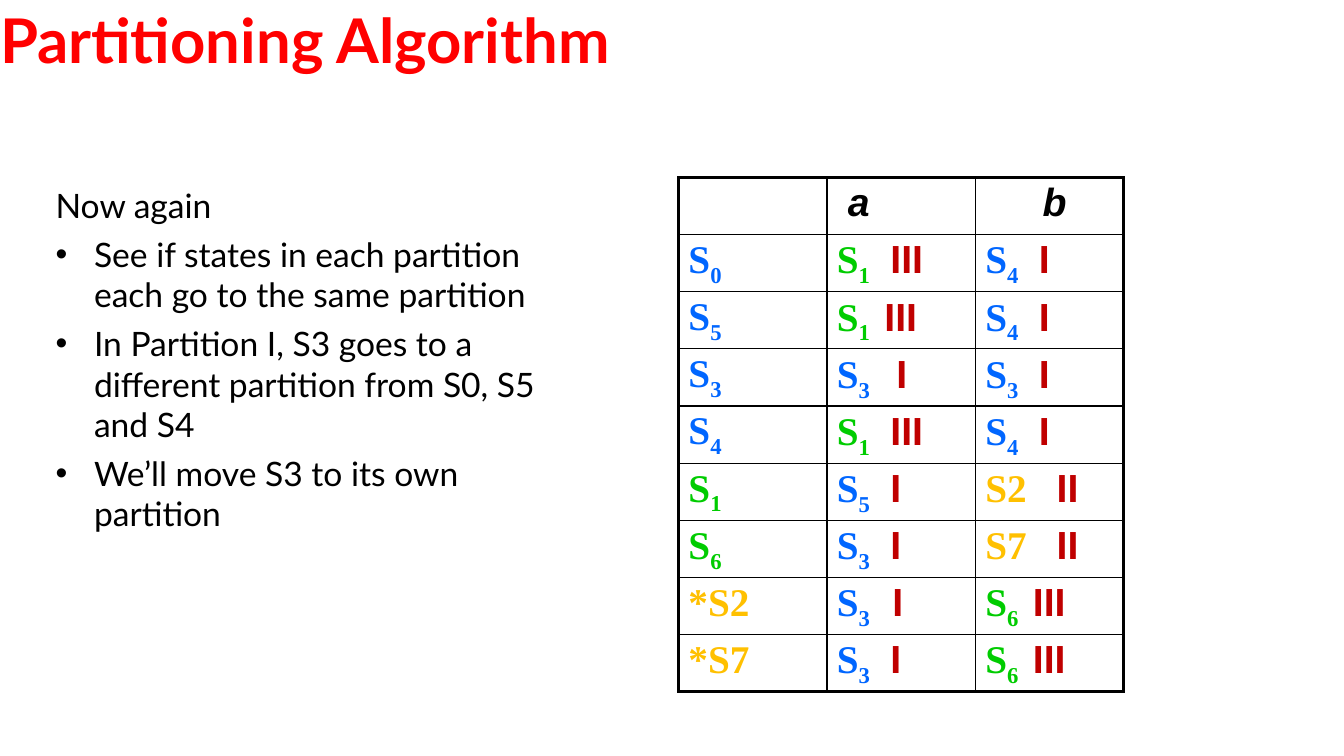
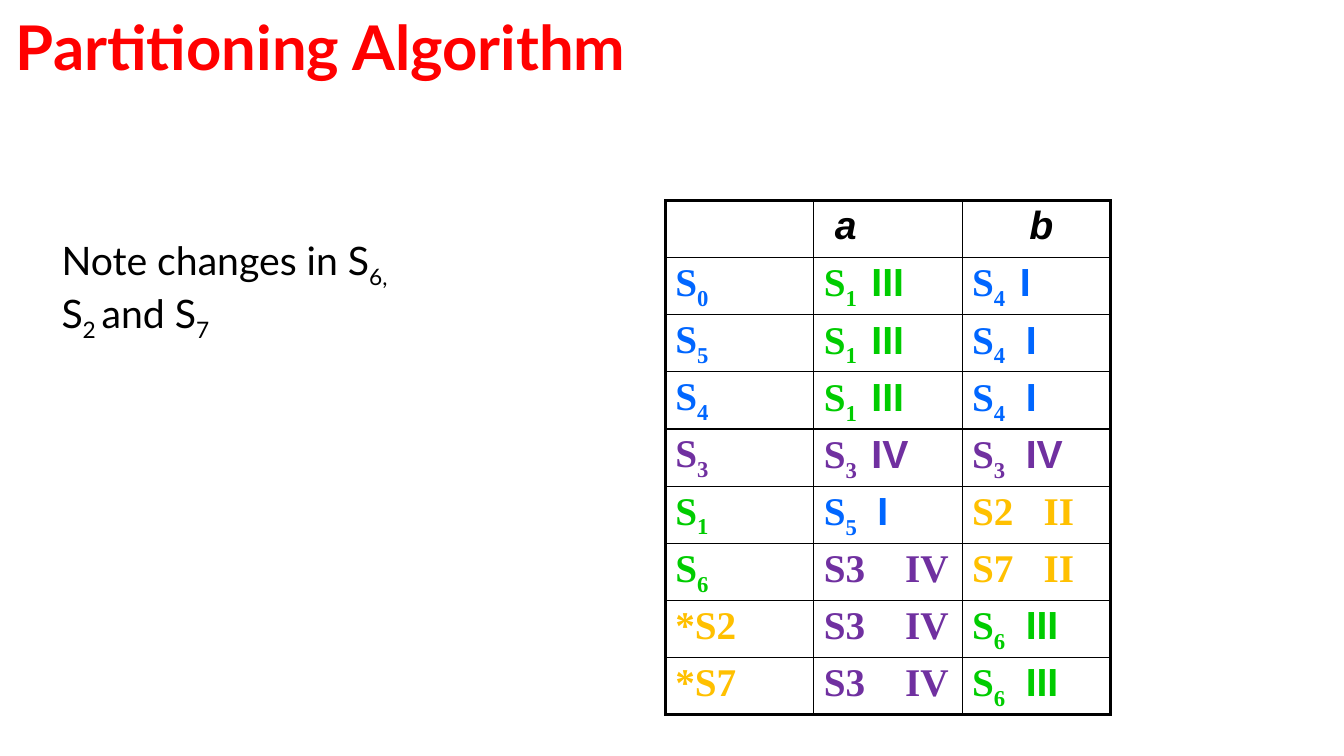
from lxml.etree import SubElement
from pptx import Presentation
from pptx.dml.color import RGBColor
from pptx.enum.text import MSO_ANCHOR, MSO_AUTO_SIZE, PP_ALIGN
from pptx.oxml import parse_xml
from pptx.oxml.ns import nsdecls, qn
from pptx.util import Cm, Pt

RED = RGBColor(0xFF, 0x00, 0x00)
BLACK = RGBColor(0x00, 0x00, 0x00)
BLUE = RGBColor(0x00, 0x66, 0xFF)
GREEN = RGBColor(0x00, 0xCC, 0x00)
GOLD = RGBColor(0xFF, 0xC0, 0x00)
PURPLE = RGBColor(0x70, 0x30, 0xA0)
DARK_RED = RGBColor(0xC0, 0x00, 0x00)

SANS, SERIF, BODY = "Arial", "Times New Roman", "Lato"
COLUMN_WIDTH, ROW_HEIGHT = Cm(3.74), Cm(1.44)
THIN, THICK = Pt(1), Pt(2.25)

STATE_COLORS = {"0": BLUE, "3": BLUE, "4": BLUE, "5": BLUE,
                "1": GREEN, "6": GREEN, "2": GOLD, "7": GOLD}

# Transitions: state, partition and the partition's tab stop in cm.
SLIDES = [
    {
        "title_at": (0, 0),
        "notes_box": (1.3, 4.47, 13.18, 8.05),
        "notes_top_inset": 0.2,
        "notes_size": 24,
        "notes": [
            ("Now again", False),
            ("See if states in each partition each go to the same partition", True),
            ("In Partition I, S3 goes to a different partition from S0, S5 and S4", True),
            ("We’ll move S3 to its own partition", True),
        ],
        "table_at": (17.1, 4.47),
        "state_colors": STATE_COLORS,
        "partition_color": DARK_RED,
        "plain_partition_font": SANS,
        "transitions": [
            ("S|0", "S|1 III 1.35", "S|4 I 1.35"),
            ("S|5", "S|1 III 1.2", "S|4 I 1.35"),
            ("S|3", "S|3 I 1.5", "S|3 I 1.35"),
            ("S|4", "S|1 III 1.35", "S|4 I 1.35"),
            ("S|1", "S|5 I 1.35", "S2 II 1.8"),
            ("S|6", "S|3 I 1.35", "S7 II 1.8"),
            ("*S2", "S|3 I 1.4", "S|6 III 1.2"),
            ("*S7", "S|3 I 1.35", "S|6 III 1.2"),
        ],
    },
    {
        "title_at": (0.4, 0.18),
        "notes_box": (1.45, 5.92, 8.6, 2.8),
        "notes_top_inset": 0.03,
        "notes_size": 28,
        "notes": [("Note changes in S|6, |S|2 |and S|7", False)],
        "table_at": (16.77, 5.05),
        "state_colors": {**STATE_COLORS, "3": PURPLE},
        "partition_color": None,
        "plain_partition_font": SERIF,
        "transitions": [
            ("S|0", "S|1 III 1.2", "S|4 I 1.2"),
            ("S|5", "S|1 III 1.2", "S|4 I 1.35"),
            ("S|4", "S|1 III 1.2", "S|4 I 1.35"),
            ("S|3", "S|3 IV 1.2", "S|3 IV 1.35"),
            ("S|1", "S|5 I 1.35", "S2 II 1.8"),
            ("S|6", "S3 IV 2.05", "S7 II 1.8"),
            ("*S2", "S3 IV 2.05", "S|6 III 1.35"),
            ("*S7", "S3 IV 2.05", "S|6 III 1.35"),
        ],
    },
]


def add_text(paragraph, text, font=SANS, size=28, color=BLACK, bold=True, italic=False):
    """Add runs to the paragraph; every second part between bars is a subscript."""
    for index, part in enumerate(text.split("|")):
        run = paragraph.add_run()
        run.text = part
        run.font.name, run.font.size = font, Pt(size)
        run.font.bold, run.font.italic = bold, italic
        run.font.color.rgb = color
        if index % 2:
            run.font._element.set("baseline", "-25000")


def set_borders(cell, widths):
    """Draw the left, right, top and bottom borders, in that order."""
    properties = cell._tc.get_or_add_tcPr()
    for index, (side, width) in enumerate(zip("LRTB", widths)):
        properties.insert(index, parse_xml(
            f'<a:ln{side} {nsdecls("a")} w="{width}"><a:solidFill>'
            f'<a:srgbClr val="{BLACK}"/></a:solidFill></a:ln{side}>'))


presentation = Presentation()
presentation.slide_width, presentation.slide_height = Cm(33.87), Cm(19.05)

for content in SLIDES:
    slide = presentation.slides.add_slide(presentation.slide_layouts[1])
    title, notes = slide.placeholders

    title.left, title.top = (Cm(value) for value in content["title_at"])
    title.width, title.height = Cm(20.5), Cm(1.93)
    notes.left, notes.top, notes.width, notes.height = (
        Cm(value) for value in content["notes_box"])
    for placeholder, top_inset, anchor in (
            (title, 0.03, MSO_ANCHOR.MIDDLE),
            (notes, content["notes_top_inset"], MSO_ANCHOR.TOP)):
        frame = placeholder.text_frame
        frame.margin_left = frame.margin_right = frame.margin_bottom = 0
        frame.margin_top = Cm(top_inset)
        frame.vertical_anchor = anchor
        frame.word_wrap = True
        frame.auto_size = MSO_AUTO_SIZE.NONE

    heading = title.text_frame.paragraphs[0]
    heading.alignment = PP_ALIGN.LEFT
    add_text(heading, "Partitioning Algorithm", font=BODY, size=44, color=RED)

    for index, (note, bulleted) in enumerate(content["notes"]):
        frame = notes.text_frame
        paragraph = frame.add_paragraph() if index else frame.paragraphs[0]
        properties = paragraph._p.get_or_add_pPr()
        properties.set("marL", str(Cm(1.07 if bulleted else 0.1)))
        properties.set("indent", str(Cm(-0.97 if bulleted else 0)))
        if bulleted:
            SubElement(properties, qn("a:buFont")).set("typeface", SANS)
            SubElement(properties, qn("a:buChar")).set("char", "•")
        else:
            SubElement(properties, qn("a:buNone"))
        paragraph.space_before = Pt(6 if index else 0)
        add_text(paragraph, note, font=BODY, size=content["notes_size"], bold=False)

    rows = [("", "a", "b")] + content["transitions"]
    left, top = (Cm(value) for value in content["table_at"])
    table = slide.shapes.add_table(len(rows), 3, left, top,
                                   3 * COLUMN_WIDTH, len(rows) * ROW_HEIGHT).table
    table.first_row = table.horz_banding = False
    for column in table.columns:
        column.width = COLUMN_WIDTH

    for row_index, row in enumerate(rows):
        table.rows[row_index].height = ROW_HEIGHT
        for column_index, entry in enumerate(row):
            cell = table.cell(row_index, column_index)
            cell.fill.background()
            outer_sides = (column_index == 0, column_index == 2,
                           row_index == 0, row_index == len(rows) - 1)
            set_borders(cell, [THICK if outer else THIN for outer in outer_sides])
            cell.margin_left, cell.margin_top = Cm(0.25), Cm(0.1)
            cell.margin_right = cell.margin_bottom = 0
            paragraph = cell.text_frame.paragraphs[0]

            if not entry:
                continue
            if row_index == 0:
                if entry == "a":
                    cell.margin_left = Cm(0.53)
                else:
                    paragraph.alignment = PP_ALIGN.CENTER
                add_text(paragraph, entry, italic=True)
                continue

            state, *target = entry.split()
            state_color = content["state_colors"][state[-1]]
            if target:
                partition, tab_stop = target
                tabs = SubElement(paragraph._p.get_or_add_pPr(), qn("a:tabLst"))
                tab = SubElement(tabs, qn("a:tab"))
                tab.set("pos", str(Cm(float(tab_stop))))
                tab.set("algn", "l")
            add_text(paragraph, state, font=SERIF, color=state_color)
            if target:
                add_text(paragraph, "\t" + partition,
                         font=SANS if "|" in state else content["plain_partition_font"],
                         color=content["partition_color"] or state_color)

presentation.save("out.pptx")
